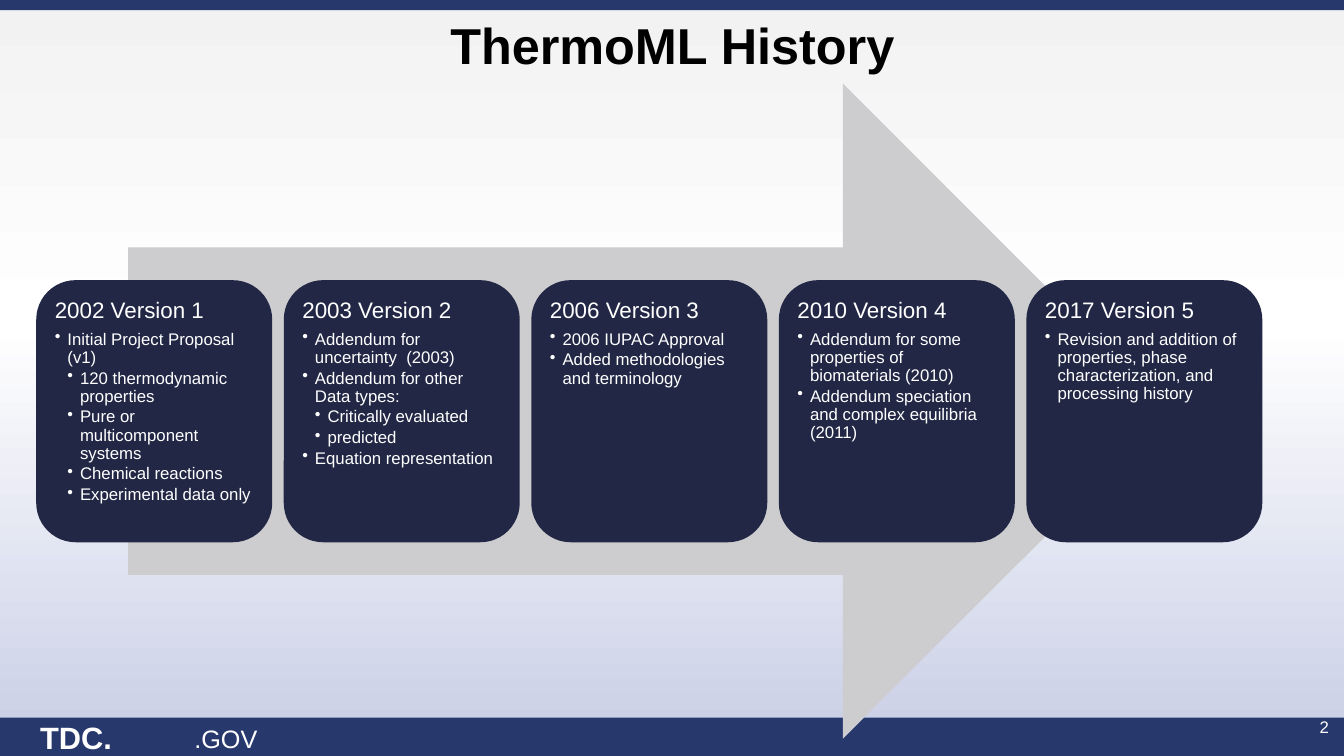
from copy import deepcopy

from lxml.etree import SubElement
from pptx import Presentation
from pptx.dml.color import RGBColor
from pptx.enum.shapes import MSO_SHAPE
from pptx.enum.text import MSO_ANCHOR, PP_ALIGN
from pptx.oxml.ns import qn
from pptx.util import Inches, Pt

# Content: each version has a heading and bullets of (level, text)
TITLE = "ThermoML History"
VERSIONS = [
    ("2002 Version 1", [
        (1, "Initial Project Proposal (v1)"),
        (2, "120 thermodynamic properties"),
        (2, "Pure or multicomponent systems"),
        (2, "Chemical reactions"),
        (2, "Experimental data only"),
    ]),
    ("2003 Version 2", [
        (1, "Addendum for uncertainty  (2003)"),
        (1, "Addendum for other Data types:"),
        (2, "Critically evaluated"),
        (2, "predicted"),
        (1, "Equation representation"),
    ]),
    ("2006 Version 3", [
        (1, "2006 IUPAC Approval"),
        (1, "Added methodologies and terminology"),
    ]),
    ("2010 Version 4", [
        (1, "Addendum for some properties of biomaterials (2010)"),
        (1, "Addendum speciation and complex equilibria (2011)"),
    ]),
    ("2017 Version 5", [
        (1, "Revision and addition of properties, phase characterization, "
            "and processing history"),
    ]),
]

FONT = "Arial"
BAND_BLUE = RGBColor(0x27, 0x38, 0x6D)
CARD_NAVY = RGBColor(0x21, 0x27, 0x45)
ARROW_GREY = RGBColor(0xCD, 0xCD, 0xCF)
WHITE = RGBColor(0xFF, 0xFF, 0xFF)
BLACK = RGBColor(0, 0, 0)
BACKGROUND_STOPS = [
    (0, RGBColor(0xF2, 0xF2, 0xF2)),
    (0.43, WHITE),
    (1, RGBColor(0xC8, 0xCD, 0xE5)),
]

# Layout in inches
WIDTH, HEIGHT = 13.33, 7.5
TOP_BAND, FOOTER = 0.1, 0.38
ARROW = (1.27, 0.83, 10.34, 6.5)
CARD_LEFT, CARD_WIDTH, CARD_HEIGHT, CARD_PITCH = 0.36, 2.34, 2.6, 2.455
CARD_TOP = ARROW[1] + (ARROW[3] - CARD_HEIGHT) / 2
CARD_MARGIN, BULLET_INDENT = 0.07, 0.125

presentation = Presentation()
presentation.slide_width, presentation.slide_height = Inches(WIDTH), Inches(HEIGHT)
slide = presentation.slides.add_slide(presentation.slide_layouts[6])


def add_block(kind, box, color):
    shape = slide.shapes.add_shape(kind, *map(Inches, box))
    shape.shadow.inherit = False
    shape.fill.solid()
    shape.fill.fore_color.rgb = color
    shape.line.fill.background()
    return shape


def add_run(paragraph, text, size, color=WHITE, bold=False):
    run = paragraph.add_run()
    run.text = text
    run.font.name, run.font.size, run.font.bold = FONT, Pt(size), bold
    run.font.color.rgb = color


def add_label(box, text, size, color=WHITE, bold=False, align=PP_ALIGN.LEFT,
              anchor=MSO_ANCHOR.TOP, wrap=True):
    frame = slide.shapes.add_textbox(*map(Inches, box)).text_frame
    frame.word_wrap, frame.vertical_anchor = wrap, anchor
    frame.paragraphs[0].alignment = align
    add_run(frame.paragraphs[0], text, size, color, bold)


def set_bullet(paragraph, level):
    paragraph.level = level
    properties = paragraph._p.get_or_add_pPr()
    properties.set("marL", str(Inches(BULLET_INDENT * level)))
    properties.set("indent", str(-Inches(BULLET_INDENT)))
    SubElement(properties, qn("a:buChar"), char="•")


def add_card(column, heading, bullets):
    left = CARD_LEFT + column * CARD_PITCH
    card = add_block(MSO_SHAPE.ROUNDED_RECTANGLE,
                     (left, CARD_TOP, CARD_WIDTH, CARD_HEIGHT), CARD_NAVY)
    frame = card.text_frame
    frame.word_wrap, frame.vertical_anchor = True, MSO_ANCHOR.TOP
    frame.margin_left = frame.margin_right = Inches(CARD_MARGIN)
    frame.margin_top = frame.margin_bottom = Inches(CARD_MARGIN)
    for level, text in [(0, heading), *bullets]:
        paragraph = frame.add_paragraph() if level else frame.paragraphs[0]
        paragraph.alignment = PP_ALIGN.LEFT
        paragraph.line_spacing = 0.9
        paragraph.space_after = Pt(1.8 if level else 5.6)
        if level:
            set_bullet(paragraph, level)
        add_run(paragraph, text, 12 if level else 16)


# Background gradient, top to bottom
fill = slide.background.fill
fill.gradient()
fill.gradient_angle = 270
stop_list = slide.element.find(".//" + qn("a:gsLst"))
stop_list.append(deepcopy(stop_list[-1]))
for stop, (position, color) in zip(fill.gradient_stops, BACKGROUND_STOPS):
    stop.position, stop.color.rgb = position, color

# Bands, footer text and page number
add_block(MSO_SHAPE.RECTANGLE, (0, 0, WIDTH, TOP_BAND), BAND_BLUE)
add_block(MSO_SHAPE.RECTANGLE, (0, HEIGHT - FOOTER, WIDTH, FOOTER), BAND_BLUE)
add_label((0.3, 7.08, 0.92, 0.47), "TDC.", 22, bold=True, wrap=False)
add_label((1.83, 7.13, 0.83, 0.4), ".GOV", 18, wrap=False)
add_label((12.11, 7.01, 1.17, 0.4), "2", 12, align=PP_ALIGN.RIGHT,
          anchor=MSO_ANCHOR.MIDDLE)

# Title
add_label((0.67, 0.08, 12, 0.72), TITLE, 36, BLACK, True, PP_ALIGN.CENTER,
          MSO_ANCHOR.MIDDLE)

# Timeline arrow with one card per version
add_block(MSO_SHAPE.RIGHT_ARROW, ARROW, ARROW_GREY)
for column, (heading, bullets) in enumerate(VERSIONS):
    add_card(column, heading, bullets)

presentation.save("out.pptx")
